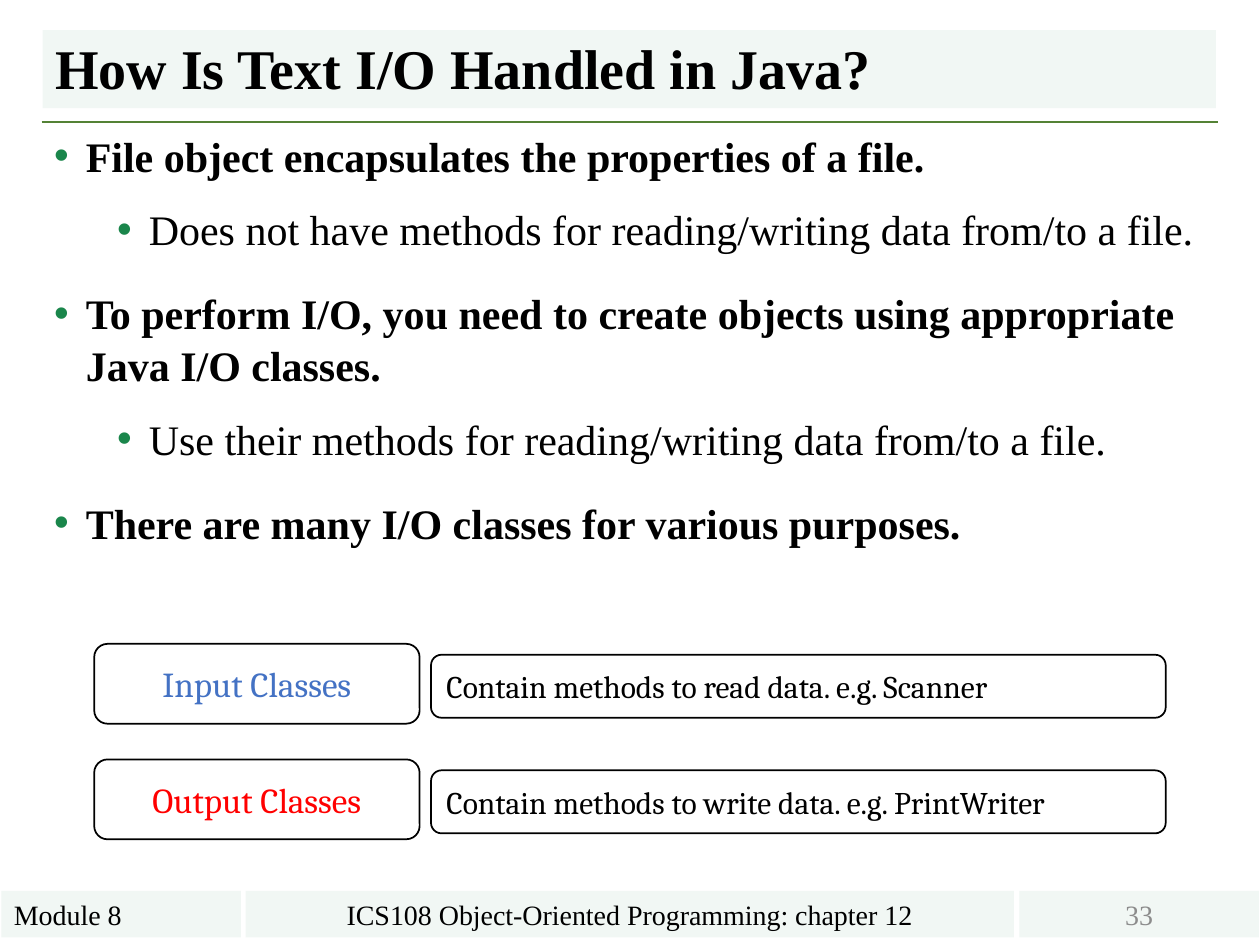
from lxml import etree
from pptx import Presentation
from pptx.dml.color import RGBColor
from pptx.enum.shapes import MSO_CONNECTOR, MSO_SHAPE
from pptx.enum.text import MSO_ANCHOR, PP_ALIGN
from pptx.oxml.ns import qn
from pptx.util import Cm, Pt

STRAIGHT = MSO_CONNECTOR.STRAIGHT
RECT, ROUNDED = MSO_SHAPE.RECTANGLE, MSO_SHAPE.ROUNDED_RECTANGLE
LEFT, CENTER = PP_ALIGN.LEFT, PP_ALIGN.CENTER
MIDDLE, BOTTOM = MSO_ANCHOR.MIDDLE, MSO_ANCHOR.BOTTOM
SERIF, CAMBRIA = "Times New Roman", "Cambria"
BLACK, PALE, GREEN = "000000", "F1F7F4", "1A864B"


def rgb(value):
    return RGBColor.from_string(value)


def add_box(kind, left, top, width, height, text, size, font, color=BLACK,
            align=CENTER, anchor=MIDDLE):
    """Pale band for a rectangle, black outline for a rounded one; lengths in cm."""
    box = slide.shapes.add_shape(kind, Cm(left), Cm(top), Cm(width), Cm(height))
    box.shadow.inherit = False
    if kind == RECT:
        box.fill.solid()
        box.fill.fore_color.rgb = rgb(PALE)
        box.line.fill.background()
    else:
        box.fill.background()
        box.line.color.rgb = rgb(BLACK)
        box.line.width = Pt(1)
    box.text_frame.word_wrap = True
    box.text_frame.vertical_anchor = anchor
    paragraph = box.text_frame.paragraphs[0]
    paragraph.text = text
    paragraph.alignment = align
    paragraph.font.size = Pt(size)
    paragraph.font.name = font
    paragraph.font.color.rgb = rgb(color)
    return paragraph


prs = Presentation()
prs.slide_width, prs.slide_height = Cm(25.4), Cm(19.05)
slide = prs.slides.add_slide(prs.slide_layouts[6])

# Title and rule
title = add_box(RECT, 0.86, 0.61, 23.65, 1.57, "How Is Text I/O Handled in Java?",
                32, SERIF, align=LEFT, anchor=BOTTOM)
title.font.bold = True
title.line_spacing = 0.9

rule = slide.shapes.add_connector(STRAIGHT, Cm(0.84), Cm(2.46), Cm(24.56), Cm(2.46))
rule.line.color.rgb = rgb("548235")
rule.line.width = Pt(1.5)
etree.SubElement(rule._element.spPr, qn("a:effectLst"))

# Bulleted points
points = [
    (0, "File object encapsulates the properties of a file."),
    (1, "Does not have methods for reading/writing data from/to a file."),
    (0, "To perform I/O, you need to create objects using appropriate Java I/O classes."),
    (1, "Use their methods for reading/writing data from/to a file."),
    (0, "There are many I/O classes for various purposes."),
]
body = slide.shapes.add_textbox(Cm(0.84), Cm(2.46), Cm(23.72), Cm(15.47)).text_frame
body.word_wrap = True
for index, (level, text) in enumerate(points):
    point = body.paragraphs[0] if index == 0 else body.add_paragraph()
    point.text = text
    point.level = level
    point.line_spacing = 1.04
    point.space_before = Pt(12 if level else 18)
    point.font.size = Pt(24)
    point.font.name = SERIF
    point.font.bold = level == 0
    point.font.color.rgb = rgb(BLACK)
    properties = point._p.get_or_add_pPr()
    properties.set("marL", str(Cm(0.64 + 1.27 * level)))
    properties.set("indent", str(-Cm(0.64)))
    bullet_color = etree.Element(qn("a:buClr"))
    etree.SubElement(bullet_color, qn("a:srgbClr"), val=GREEN)
    bullet_font = etree.Element(qn("a:buFont"), typeface="Arial")
    bullet = etree.Element(qn("a:buChar"), char="•")
    position = list(properties).index(properties.find(qn("a:defRPr")))
    properties[position:position] = [bullet_color, bullet_font, bullet]

# Class families with their descriptions
families = [
    ("Input Classes", "4472C4", "Contain methods to read data. e.g. Scanner"),
    ("Output Classes", "FF0000", "Contain methods to write data. e.g. PrintWriter"),
]
for row, (family, color, description) in enumerate(families):
    top = 12.98 + 2.33 * row
    add_box(ROUNDED, 1.9, top, 6.56, 1.61, family, 20, CAMBRIA, color)
    add_box(ROUNDED, 8.69, top + 0.22, 14.81, 1.27, description, 18, CAMBRIA, align=LEFT)

# Footer
footer = [
    (0.03, 4.83, "Module 8", BLACK, LEFT),
    (4.95, 15.49, "ICS108 Object-Oriented Programming: chapter 12", BLACK, CENTER),
    (20.55, 4.83, "33", "8C8C8C", CENTER),
]
for left, width, text, color, align in footer:
    add_box(RECT, left, 17.96, width, 0.94, text, 16, SERIF, color, align)

prs.save("out.pptx")
